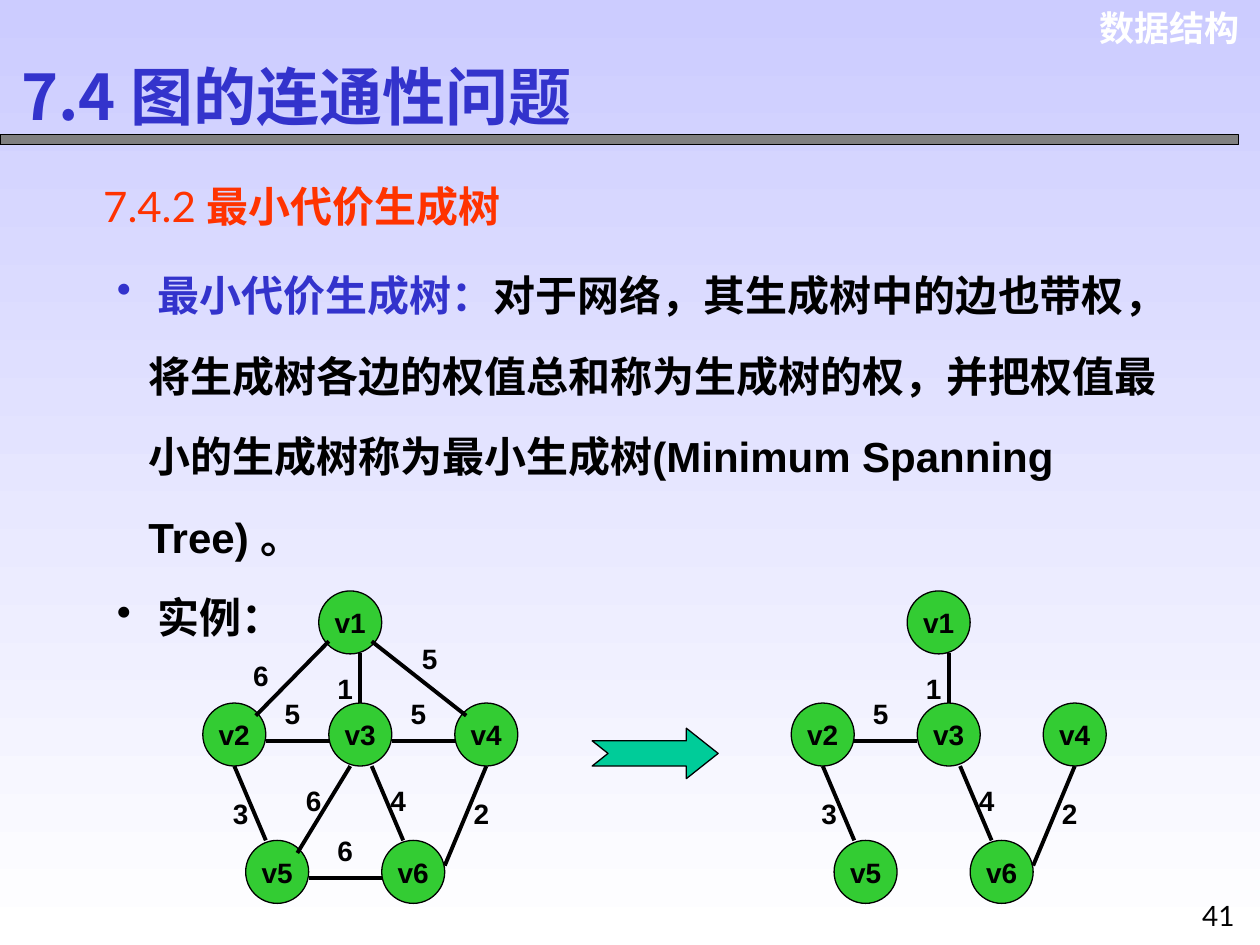
from lxml import etree
from pptx import Presentation
from pptx.dml.color import RGBColor
from pptx.enum.shapes import MSO_CONNECTOR, MSO_SHAPE
from pptx.enum.text import MSO_ANCHOR, MSO_AUTO_SIZE, PP_ALIGN
from pptx.oxml.ns import qn
from pptx.util import Inches, Pt

STRAIGHT = MSO_CONNECTOR.STRAIGHT
RECTANGLE, OVAL = MSO_SHAPE.RECTANGLE, MSO_SHAPE.OVAL
NOTCHED_ARROW = MSO_SHAPE.NOTCHED_RIGHT_ARROW
MIDDLE, TOP = MSO_ANCHOR.MIDDLE, MSO_ANCHOR.TOP
GROW, FIXED = MSO_AUTO_SIZE.SHAPE_TO_FIT_TEXT, MSO_AUTO_SIZE.NONE
LEFT, CENTER, RIGHT = PP_ALIGN.LEFT, PP_ALIGN.CENTER, PP_ALIGN.RIGHT

BLACK = RGBColor(0x00, 0x00, 0x00)
WHITE = RGBColor(0xFF, 0xFF, 0xFF)
LAVENDER = RGBColor(0xCC, 0xCC, 0xFF)
GRAY = RGBColor(0x80, 0x80, 0x80)
BLUE = RGBColor(0x33, 0x33, 0xCC)
RED = RGBColor(0xFF, 0x33, 0x00)
GREEN = RGBColor(0x33, 0xCC, 0x33)
TEAL = RGBColor(0x00, 0xCC, 0x99)

prs = Presentation()
prs.slide_width, prs.slide_height = Inches(10), Inches(7.5)
slide = prs.slides.add_slide(prs.slide_layouts[6])
shapes = slide.shapes

background = slide.background.fill
background.gradient()
background.gradient_angle = 270
for stop, color in zip(background.gradient_stops, (LAVENDER, WHITE)):
    stop.color.rgb = color


def write(paragraphs, box=None, shape=None, size=16, font="Arial", color=BLACK,
          bold=True, align=LEFT, anchor=TOP, wrap=True, fit=GROW,
          spacing=None, bullets=False):
    """Fill a shape, or a new text box at box (left, top, width, height).

    paragraphs is a string or a list of paragraphs; each paragraph is a list
    of (text, overrides) runs, where overrides may hold font, color and bold.
    """
    if shape is None:
        shape = shapes.add_textbox(*map(Inches, box))
    frame = shape.text_frame
    frame.word_wrap, frame.auto_size, frame.vertical_anchor = wrap, fit, anchor
    if isinstance(paragraphs, str):
        paragraphs = [[(paragraphs, {})]]
    for index, runs in enumerate(paragraphs):
        paragraph = frame.add_paragraph() if index else frame.paragraphs[0]
        paragraph.alignment = align
        if spacing:
            paragraph.line_spacing = spacing
        if bullets:
            properties = paragraph._p.get_or_add_pPr()
            properties.set("marL", str(Inches(0.25)))
            properties.set("indent", str(Inches(-0.25)))
            bullet_color = etree.SubElement(properties, qn("a:buClr"))
            etree.SubElement(bullet_color, qn("a:srgbClr"),
                             val=str(runs[0][1].get("color", color)))
            etree.SubElement(properties, qn("a:buChar"), char="•")
        for text, overrides in runs:
            run = paragraph.add_run()
            run.text = text
            run.font.size = Pt(size)
            run.font.name = overrides.get("font", font)
            run.font.bold = overrides.get("bold", bold)
            run.font.color.rgb = overrides.get("color", color)


def add_outlined(kind, box, fill):
    shape = shapes.add_shape(kind, *map(Inches, box))
    shape.shadow.inherit = False
    shape.fill.solid()
    shape.fill.fore_color.rgb = fill
    shape.line.color.rgb = BLACK
    shape.line.width = Pt(0.75)
    return shape


# Header
write("数据结构", box=(8.57, 0, 1.37, 0.44), size=20, color=WHITE, align=RIGHT)
add_outlined(RECTANGLE, (0, 1.07, 9.83, 0.08), GRAY)
write("7.4 图的连通性问题", box=(0.07, 0.48, 4.95, 0.55), size=36,
      font="Noto Sans CJK SC", color=BLUE, anchor=MIDDLE, fit=FIXED)

# Section and definition
write([[("7.4.2 ", {"font": "Lato", "bold": False}), ("最小代价生成树", {})]],
      box=(0.72, 1.38, 3.45, 0.5), size=24, color=RED, wrap=False)
definition = ("对于网络，其生成树中的边也带权，将生成树各边的权值总和称为生成树的权，"
              "并把权值最小的生成树称为最小生成树(Minimum Spanning Tree) 。")
write([[(" 最小代价生成树：", {"color": BLUE}), (definition, {})],
       [(" 实例：", {})]],
      box=(0.83, 1.85, 8.73, 2.66), size=24, spacing=1.6, bullets=True)

# Network on the left, its minimum spanning tree on the right
NODE_SIZE = 0.5
TREE_OFFSET = 4.67
nodes = {"v1": (2.53, 4.69), "v2": (1.61, 5.58), "v3": (2.61, 5.58),
         "v4": (3.61, 5.58), "v5": (1.95, 6.67), "v6": (3.03, 6.67)}
# start, end, weight, left and top of the weight, whether in the tree
edges = [
    ((2.11, 5.88), (2.61, 5.88), 5, (2.11, 5.48), True),
    ((3.11, 5.88), (3.61, 5.88), 5, (3.11, 5.48), False),
    ((2.86, 5.18), (2.86, 5.58), 1, (2.53, 5.28), True),
    ((1.86, 6.08), (2.11, 6.67), 3, (1.70, 6.27), True),
    ((2.36, 6.77), (2.78, 6.08), 6, (2.28, 6.17), False),
    ((2.95, 6.08), (3.20, 6.67), 4, (2.95, 6.17), True),
    ((3.53, 6.87), (3.86, 6.08), 2, (3.61, 6.27), True),
    ((2.45, 6.97), (3.03, 6.97), 6, (2.53, 6.57), False),
    ((2.03, 5.68), (2.61, 5.09), 6, (1.86, 5.18), False),
    ((3.70, 5.68), (2.95, 5.09), 5, (3.20, 5.04), False),
]
tree_edges = [edge for edge in edges if edge[-1]]

for offset, graph_edges in ((0, edges), (TREE_OFFSET, tree_edges)):
    for vertex, (x, y) in nodes.items():
        node = add_outlined(OVAL, (x + offset, y, NODE_SIZE, NODE_SIZE), GREEN)
        write(vertex, shape=node, align=CENTER, anchor=MIDDLE, wrap=False,
              fit=FIXED)
    for (x1, y1), (x2, y2), weight, (x, y), _ in graph_edges:
        edge_line = shapes.add_connector(
            STRAIGHT, Inches(x1 + offset), Inches(y1),
            Inches(x2 + offset), Inches(y2))
        edge_line.line.color.rgb = BLACK
        edge_line.line.width = Pt(2.25)
        etree.SubElement(edge_line._element.spPr, qn("a:effectLst"))
        write(str(weight), box=(x + offset, y, 0.42, 0.37), align=CENTER)

arrow = add_outlined(NOTCHED_ARROW, (4.7, 5.78, 1, 0.4), TEAL)
arrow.adjustments[1] = 0.63

write("41", box=(9.42, 7.08, 0.5, 0.42), font="Lato", bold=False, align=CENTER)

prs.save("out.pptx")
